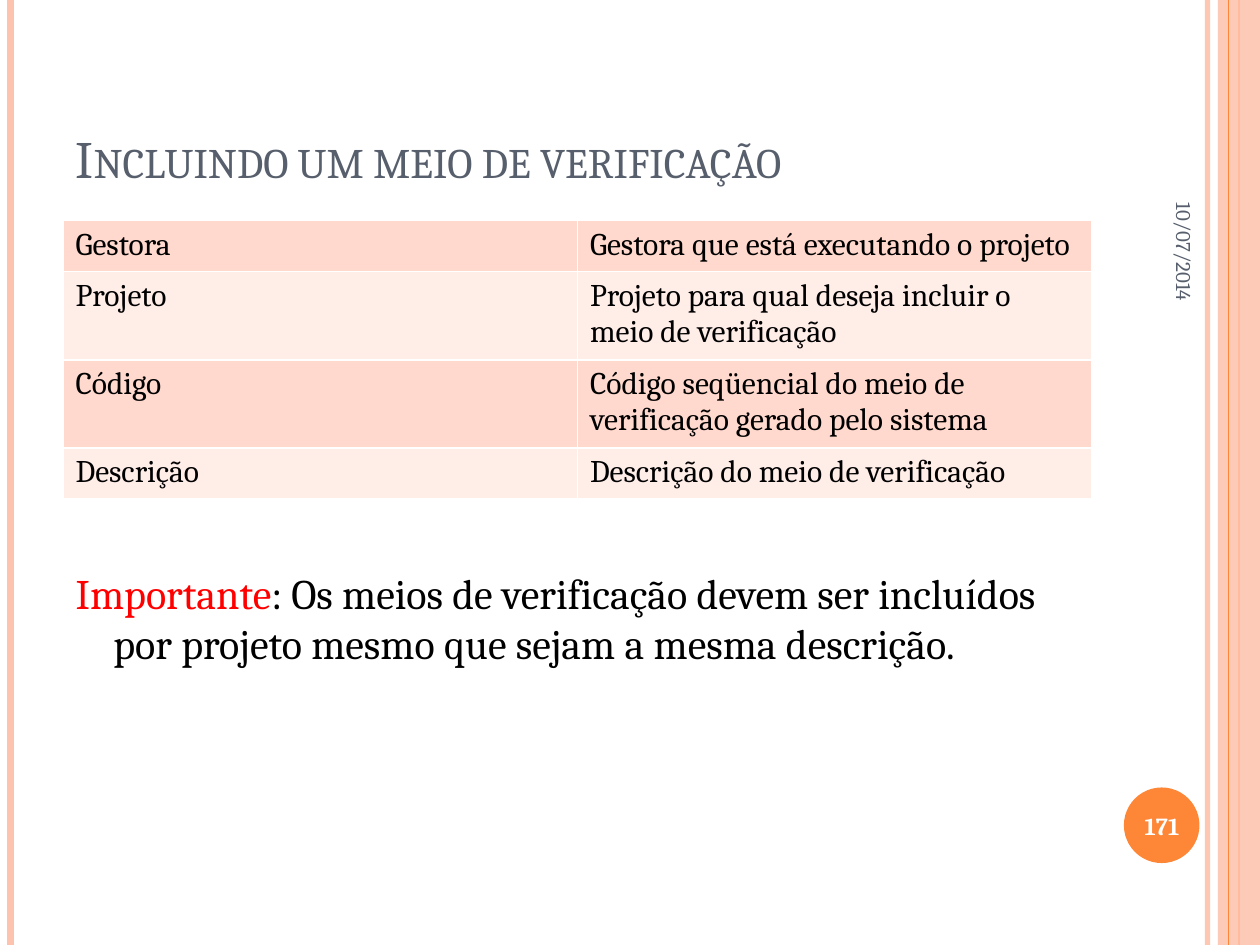
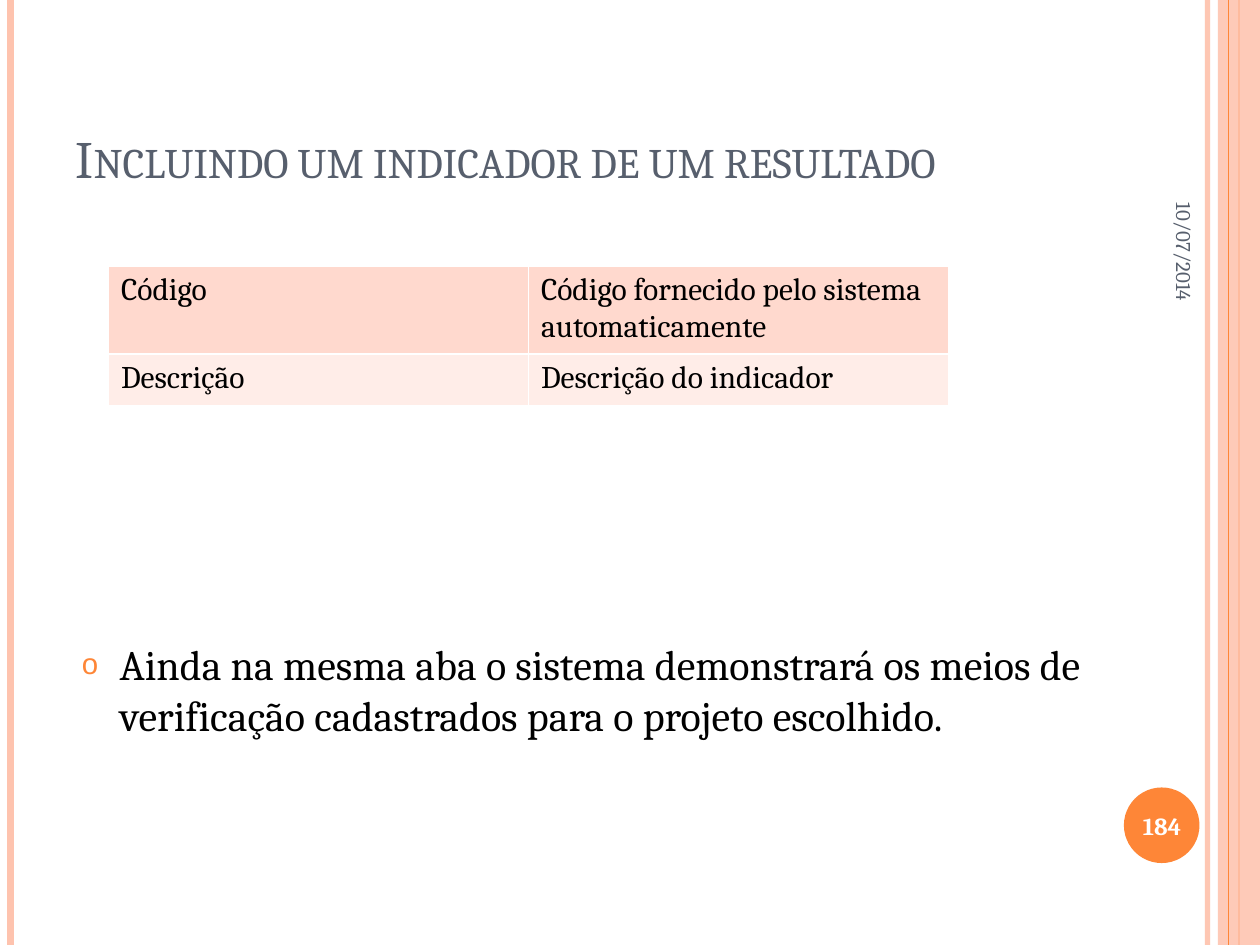
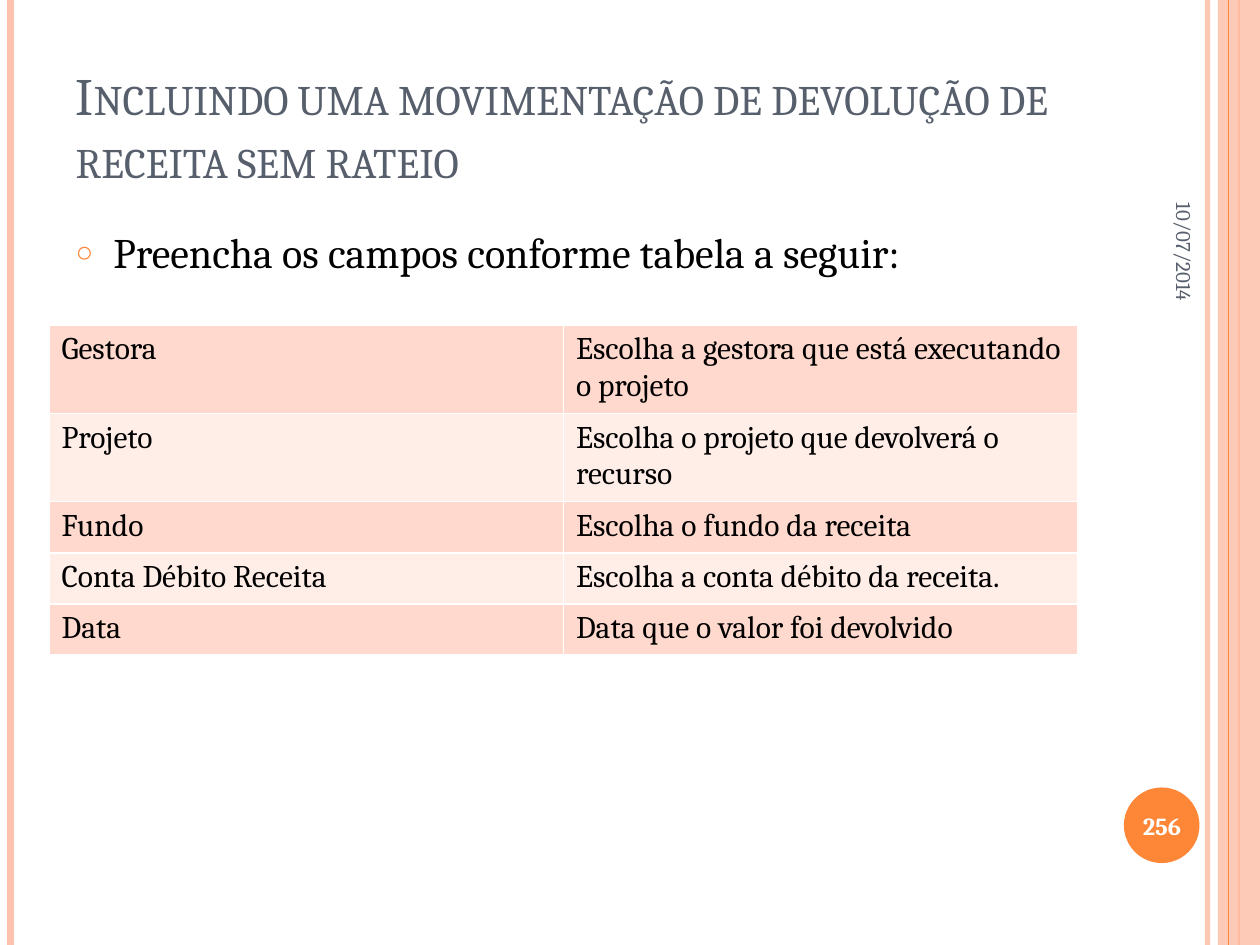
from lxml import etree
from pptx import Presentation
from pptx.dml.color import RGBColor
from pptx.enum import shapes, text
from pptx.oxml import ns
from pptx.util import Pt

FONT = "Cambria"
COLOURS = {
    "peach": "FEC3AE", "orange": "FE8637", "slate": "575F6D", "black": "000000",
    "red": "FF0000", "white": "FFFFFF", "band_dark": "FFD9CE", "band_light": "FFEDE8",
}
DATE = "10/07/2014"
SLIDE_SIZE = (720, 540)

# Vertical rails: x, colour, width, opacity in percent
RAILS_BEHIND_PANEL = [(690, "peach", 3, 93), (6, "peach", 4.5, 100), (708, "orange", 1.5, 100)]
RAILS_OVER_PANEL = [(702, "orange", 0.75, 100)]

# Boxes are left, top, width, height
PANEL_BOX = (696, 0, 24, 540)
BADGE_BOX = (642.25, 450, 43.2, 43.2)
TITLE_BOX = (36, 21.6, 588, 90)
DATE_BOX = (597.6, 85, 158.4, 30)
NUMBER_BOX = (640, 451.5, 48, 41)
ROW_HEIGHT = 29.2
HANGING = 21.6

SLIDES = [
    {
        "title": "Incluindo um meio de verificação",
        "number": "171",
        "body": [("Importante", "red"),
                 (": Os meios de verificação devem ser incluídos por projeto "
                  "mesmo que sejam a mesma descrição.", "black")],
        "body_box": (36, 320.4, 588, 189.4), "body_inset": 3.6, "bullet": None,
        "table_at": (36, 126), "table_width": 588,
        "rows": [
            ("Gestora", "Gestora que está executando o projeto"),
            ("Projeto", "Projeto para qual deseja incluir o meio de verificação"),
            ("Código", "Código seqüencial do meio de verificação gerado pelo sistema"),
            ("Descrição", "Descrição do meio de verificação"),
        ],
    },
    {
        "title": "Incluindo um indicador de um resultado",
        "number": "184",
        "body": [("Ainda na mesma aba o sistema demonstrará os meios de verificação "
                  "cadastrados para o projeto escolhido.", "black")],
        "body_box": (39.6, 118, 588, 384), "body_inset": 247, "bullet": "o",
        "table_at": (62, 152), "table_width": 480,
        "rows": [
            ("Código", "Código fornecido pelo sistema automaticamente"),
            ("Descrição", "Descrição do indicador"),
        ],
    },
    {
        "title": "Incluindo uma movimentação de devolução de receita sem rateio",
        "number": "256",
        "body": [("Preencha os campos conforme tabela a seguir:", "black")],
        "body_box": (36, 126, 588, 384), "body_inset": 3.6, "bullet": "○",
        "table_at": (28, 185.8), "table_width": 588,
        "rows": [
            ("Gestora", "Escolha a gestora que está executando o projeto"),
            ("Projeto", "Escolha o projeto que devolverá o recurso"),
            ("Fundo", "Escolha o fundo da receita"),
            ("Conta Débito Receita", "Escolha a conta débito da receita."),
            ("Data", "Data que o valor foi devolvido"),
        ],
    },
]


def points(*values):
    return [Pt(value) for value in values]


def rgb(name):
    return RGBColor.from_string(COLOURS[name])


def add_element(parent, tag, **attributes):
    element = etree.SubElement(parent, ns.qn(tag))
    for key, value in attributes.items():
        element.set(key, str(value))
    return element


def add_colour(parent, name):
    return add_element(parent, "a:srgbClr", val=COLOURS[name])


def set_opacity(shape, percent):
    for colour in shape.element.spPr.iter(ns.qn("a:srgbClr")):
        add_element(colour, "a:alpha", val=percent * 1000)


def set_font(paragraph, size, colour, bold=False):
    font = paragraph.font
    font.name, font.size, font.bold = FONT, Pt(size), bold
    font.color.rgb = rgb(colour)


def place(shape, box):
    shape.left, shape.top, shape.width, shape.height = points(*box)


# Shared decoration, kept in the layout
def add_rail(slide, x, colour, width, opacity):
    rail = slide.shapes.add_connector(
        shapes.MSO_CONNECTOR.STRAIGHT, *points(x, 0, x, SLIDE_SIZE[1]))
    rail.line.color.rgb = rgb(colour)
    rail.line.width = Pt(width)
    if opacity < 100:
        set_opacity(rail, opacity)
    add_element(rail.element.spPr, "a:effectLst")
    return rail


def add_filled(slide, kind, box, colour):
    shape = slide.shapes.add_shape(kind, *points(*box))
    shape.shadow.inherit = False
    shape.fill.solid()
    shape.fill.fore_color.rgb = rgb(colour)
    shape.line.fill.background()
    return shape


def decorate_layout(layout, slide):
    parts = [add_rail(slide, *rail) for rail in RAILS_BEHIND_PANEL]
    panel = add_filled(slide, shapes.MSO_SHAPE.RECTANGLE, PANEL_BOX, "peach")
    set_opacity(panel, 87)
    parts.append(panel)
    parts += [add_rail(slide, *rail) for rail in RAILS_OVER_PANEL]
    parts.append(add_filled(slide, shapes.MSO_SHAPE.OVAL, BADGE_BOX, "orange"))
    for part in parts:
        layout.shapes.element.append(part.element)


# Parts of each slide
def fill_title(title, wording):
    place(title, TITLE_BOX)
    frame = title.text_frame
    frame.text = wording
    frame.auto_size = text.MSO_AUTO_SIZE.NONE
    frame.vertical_anchor = text.MSO_ANCHOR.BOTTOM
    paragraph = frame.paragraphs[0]
    paragraph.alignment = text.PP_ALIGN.LEFT
    set_font(paragraph, 30, "slate")
    paragraph._p.pPr.find(ns.qn("a:defRPr")).set("cap", "small")


def set_bullet(paragraph, bullet):
    properties = paragraph._p.get_or_add_pPr()
    properties.set("marL", str(Pt(HANGING)))
    properties.set("indent", str(-Pt(HANGING)))
    if bullet:
        add_colour(add_element(properties, "a:buClr"), "orange")
        add_element(properties, "a:buSzPct", val=70000)
        add_element(properties, "a:buChar", char=bullet)
    else:
        add_element(properties, "a:buNone")


def fill_body(body, content):
    place(body, content["body_box"])
    frame = body.text_frame
    frame.auto_size = text.MSO_AUTO_SIZE.NONE
    frame.margin_top = Pt(content["body_inset"])
    paragraph = frame.paragraphs[0]
    set_bullet(paragraph, content["bullet"])
    paragraph.space_before = Pt(6)
    set_font(paragraph, 24, "black")
    for wording, colour in content["body"]:
        run = paragraph.add_run()
        run.text = wording
        if colour != "black":
            run.font.color.rgb = rgb(colour)


def add_label(slide, wording, box, alignment, size, colour, bold=False, rotation=0):
    label = slide.shapes.add_textbox(*points(*box))
    label.rotation = rotation
    frame = label.text_frame
    frame.word_wrap = True
    frame.vertical_anchor = text.MSO_ANCHOR.MIDDLE
    frame.text = wording
    frame.paragraphs[0].alignment = alignment
    set_font(frame.paragraphs[0], size, colour, bold)


def format_cell(cell, wording, fill):
    cell.text = wording
    set_font(cell.text_frame.paragraphs[0], 18, "black")
    properties = cell._tc.get_or_add_tcPr()
    for side in ("a:lnL", "a:lnR", "a:lnT", "a:lnB"):
        border = add_element(properties, side, w=Pt(1))
        add_colour(add_element(border, "a:solidFill"), "white")
    cell.fill.solid()
    cell.fill.fore_color.rgb = rgb(fill)


def add_field_table(slide, content):
    rows, width = content["rows"], content["table_width"]
    box = (*content["table_at"], width, ROW_HEIGHT * len(rows))
    table = slide.shapes.add_table(len(rows), 2, *points(*box)).table
    table.first_row = table.horz_banding = False
    for row_index, row in enumerate(rows):
        fill = ("band_dark", "band_light")[row_index % 2]
        for column_index, wording in enumerate(row):
            format_cell(table.cell(row_index, column_index), wording, fill)


def main():
    presentation = Presentation()
    presentation.slide_width, presentation.slide_height = points(*SLIDE_SIZE)
    layout = presentation.slide_layouts[1]
    for index, content in enumerate(SLIDES):
        slide = presentation.slides.add_slide(layout)
        if index == 0:
            decorate_layout(layout, slide)
        fill_title(slide.shapes.title, content["title"])
        fill_body(slide.placeholders[1], content)
        add_label(slide, DATE, DATE_BOX, text.PP_ALIGN.RIGHT, 12, "slate", rotation=90)
        add_label(slide, content["number"], NUMBER_BOX, text.PP_ALIGN.CENTER, 14, "white", bold=True)
        add_field_table(slide, content)
    presentation.save("out.pptx")


if __name__ == "__main__":
    main()
